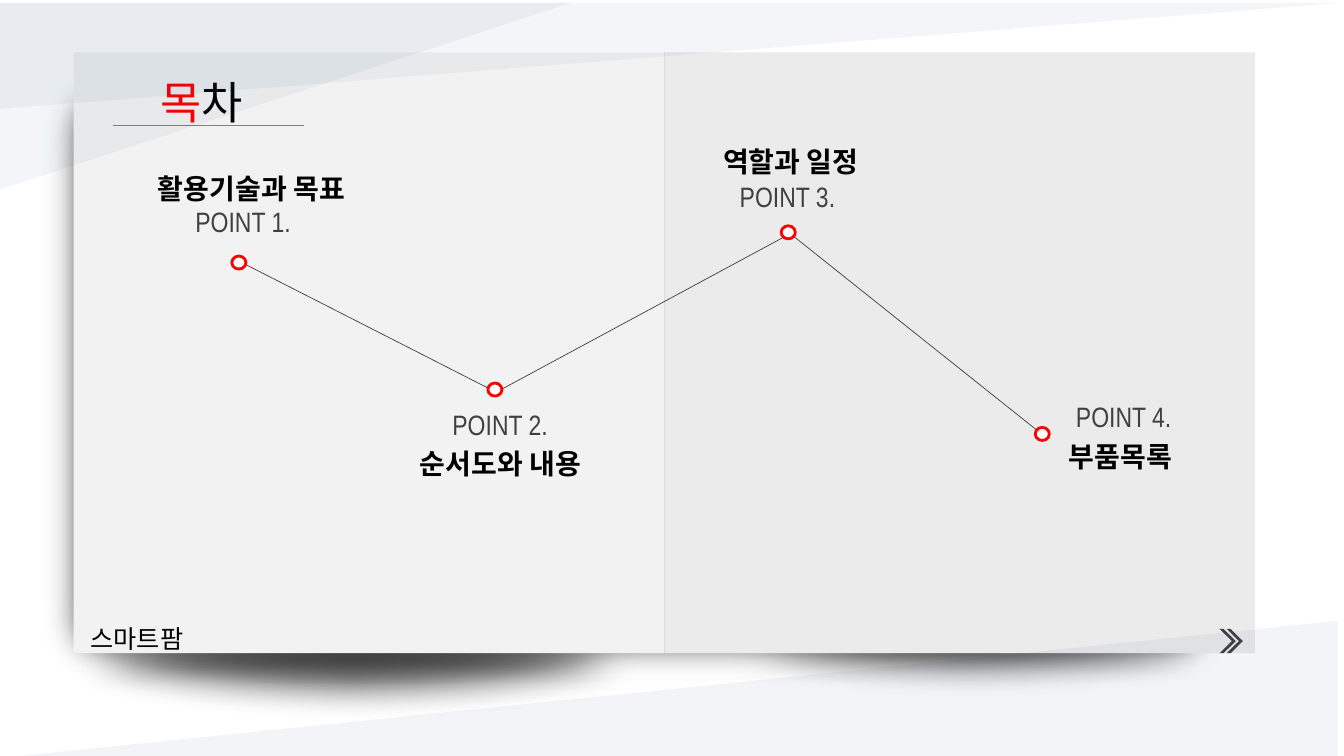
from collections import namedtuple

from lxml import etree
from pptx import Presentation
from pptx.dml.color import RGBColor
from pptx.enum.shapes import MSO_CONNECTOR, MSO_SHAPE
from pptx.enum.text import MSO_AUTO_SIZE, PP_ALIGN
from pptx.oxml.ns import qn
from pptx.util import Inches, Pt

RECTANGLE, OVAL = MSO_SHAPE.RECTANGLE, MSO_SHAPE.OVAL
CHEVRON, TRIANGLE = MSO_SHAPE.CHEVRON, MSO_SHAPE.RIGHT_TRIANGLE
STRAIGHT = MSO_CONNECTOR.STRAIGHT
LEFT, CENTER, RIGHT = PP_ALIGN.LEFT, PP_ALIGN.CENTER, PP_ALIGN.RIGHT
FIT, NO_FIT = MSO_AUTO_SIZE.SHAPE_TO_FIT_TEXT, MSO_AUTO_SIZE.NONE

WHITE = RGBColor(0xFF, 0xFF, 0xFF)
BLACK = RGBColor(0, 0, 0)
RED = RGBColor(0xFF, 0, 0)
DARK = RGBColor(0x40, 0x40, 0x40)
SILVER = RGBColor(0xA9, 0xA9, 0xA9)
GRAY = RGBColor(0x80, 0x80, 0x80)
FOLD = RGBColor(0xDD, 0xDD, 0xDD)
LEFT_PAGE = RGBColor(0xF2, 0xF2, 0xF2)
RIGHT_PAGE = RGBColor(0xEB, 0xEB, 0xEB)
BLUE = RGBColor(0x1F, 0x4E, 0x79)
NAVY = RGBColor(0x20, 0x38, 0x64)

NARROW, KOREAN = "Arial Narrow", "Noto Sans CJK KR"
CELL = Inches(0.1)
COLUMNS, ROWS = 133.33, 75
DOT_WIDTH, DOT_HEIGHT = 1.4, 1.3
LABEL_HEIGHT = 4.4

Box = namedtuple("Box", "left top width height")
Point = namedtuple("Point", "dot label label_align topic_box topic")

POINTS = [
    Point((15.7, 20.2), Box(11.1, 14.6, 11.6, LABEL_HEIGHT), LEFT,
          Box(5.6, 11.3, 24.1, LABEL_HEIGHT), "활용기술과 목표"),
    Point((41.1, 32.8), Box(36.6, 34.7, 12, LABEL_HEIGHT), LEFT,
          Box(30, 38.6, 24.7, LABEL_HEIGHT), "순서도와 내용"),
    Point((70.2, 17.2), Box(65.1, 12.1, 12.1, LABEL_HEIGHT), LEFT,
          Box(58.5, 8.6, 25.3, LABEL_HEIGHT), "역할과 일정"),
    Point((95.4, 37.2), Box(97.9, 33.9, 12, LABEL_HEIGHT), RIGHT,
          Box(93.1, 37.9, 21.5, LABEL_HEIGHT), "부품목록"),
]
PATH_LEGS = [((16.6, 20.8), (42.3, 33.9)),
             ((42.5, 33.4), (70.5, 18.3)),
             ((71.5, 18.3), (96.6, 38.3))]


def cells(*lengths):
    return [round(length * CELL) for length in lengths]


def inside(region, part):
    return Box(region.left + part.left, region.top + part.top, part.width, part.height)


def add_form(slide, kind, box, color):
    form = slide.shapes.add_shape(kind, *cells(*box))
    form.shadow.inherit = False
    form.fill.solid()
    form.fill.fore_color.rgb = color
    form.line.fill.background()
    return form


def add_line(slide, region, start, end, color):
    ends = (region.left + start[0], region.top + start[1],
            region.left + end[0], region.top + end[1])
    line = slide.shapes.add_connector(STRAIGHT, *cells(*ends))
    line.line.color.rgb = color
    line.line.width = Pt(0.5)
    etree.SubElement(line._element.spPr, qn("a:effectLst"))


def add_words(slide, box, words, size, font, color, align=LEFT, bold=False, wrap=True):
    frame = slide.shapes.add_textbox(*cells(*box)).text_frame
    frame.word_wrap = wrap
    frame.auto_size = FIT if wrap else NO_FIT
    paragraph = frame.paragraphs[0]
    paragraph.alignment = align
    paragraph.font.size = Pt(size)
    paragraph.font.bold = bold
    paragraph.font.color.rgb = color
    paragraph.font.name = font
    defaults = paragraph._p.pPr.find(qn("a:defRPr"))
    etree.SubElement(defaults, qn("a:ea"), typeface=KOREAN)
    for word in words:
        paragraph.add_run().text = word
    return paragraph


def soften(form, radius):
    effects = form._element.spPr.find(qn("a:effectLst"))
    etree.SubElement(effects, qn("a:softEdge"), rad=str(Inches(radius)))


def draw_shadows(slide, region):
    for part in (Box(56.6, 53.7, 64.5, 10.3), Box(-6.4, 53.7, 68.5, 12.5)):
        glow = add_form(slide, OVAL, inside(region, part), DARK)
        glow.fill.gradient()
        glow.fill.gradient_angle = 90
        stops = zip(glow.fill.gradient_stops, (0.86, 1), (DARK, SILVER))
        for stop, position, color in stops:
            stop.position = position
            stop.color.rgb = color
        soften(glow, 0.35)
    base = add_form(slide, RECTANGLE, inside(region, Box(-4.6, 0.2, 121.1, 63.8)), DARK)
    soften(base, 0.4)


def draw_pages(slide, region):
    half = region.width / 2
    for index, color in enumerate((LEFT_PAGE, RIGHT_PAGE)):
        page = inside(region, Box(index * half, 0, half, region.height))
        add_form(slide, RECTANGLE, page, color)
    add_line(slide, region, (half, 0), (half, region.height), FOLD)


def draw_next_mark(slide, region):
    for left in (0.7, 0):
        mark = add_form(slide, CHEVRON, inside(region, Box(left, 0, 1.6, region.height)), DARK)
        mark.adjustments[0] = 0.76


def draw_heading(slide, region):
    add_line(slide, region, (0, 5.5), (region.width, 5.5), GRAY)
    title = add_words(slide, inside(region, Box(3.7, 0, 12.8, 6.4)),
                      ["목", "차"], 32, NARROW, BLACK)
    title.runs[0].font.color.rgb = RED


def draw_path(slide, region):
    for start, end in PATH_LEGS:
        add_line(slide, region, start, end, DARK)
    for number, point in enumerate(POINTS, 1):
        dot_box = inside(region, Box(*point.dot, DOT_WIDTH, DOT_HEIGHT))
        dot = add_form(slide, OVAL, dot_box, WHITE)
        dot.line.color.rgb = RED
        dot.line.width = Pt(2)
        add_words(slide, inside(region, point.label), [f"POINT {number}."],
                  20, NARROW, DARK, point.label_align, wrap=False)
        add_words(slide, inside(region, point.topic_box), [point.topic],
                  20, KOREAN, BLACK, CENTER, bold=True)


def draw_veils(slide, region):
    veils = [(Box(0, 0.3, 132.7, 10.5), BLUE, "flipV"),
             (Box(0, 0.3, 56.6, 18.5), BLUE, "flipV"),
             (Box(0, 61.6, 132.7, 13.6), NAVY, "flipH")]
    for part, color, flip in veils:
        veil = add_form(slide, TRIANGLE, inside(region, part), color)
        properties = veil._element.spPr
        properties.find(qn("a:xfrm")).set(flip, "1")
        tint = properties.find(qn("a:solidFill")).find(qn("a:srgbClr"))
        etree.SubElement(tint, qn("a:alpha"), val="5000")


def draw_contents(slide):
    board = Box(7.3, 5.2, 117.2, 59.6)
    draw_shadows(slide, board)
    draw_pages(slide, board)
    draw_next_mark(slide, Box(121, 62.4, 2.3, 2.4))
    draw_heading(slide, Box(11.2, 6.9, 19, 6.4))
    draw_path(slide, board)
    add_words(slide, inside(board, Box(0.7, 56.1, 41.9, 4)), ["스마트팜"], 18, KOREAN, BLACK)
    draw_veils(slide, Box(0, 0, COLUMNS, ROWS))


def main():
    deck = Presentation()
    deck.slide_width, deck.slide_height = cells(COLUMNS, ROWS)
    draw_contents(deck.slides.add_slide(deck.slide_layouts[6]))
    deck.save("out.pptx")


if __name__ == "__main__":
    main()
